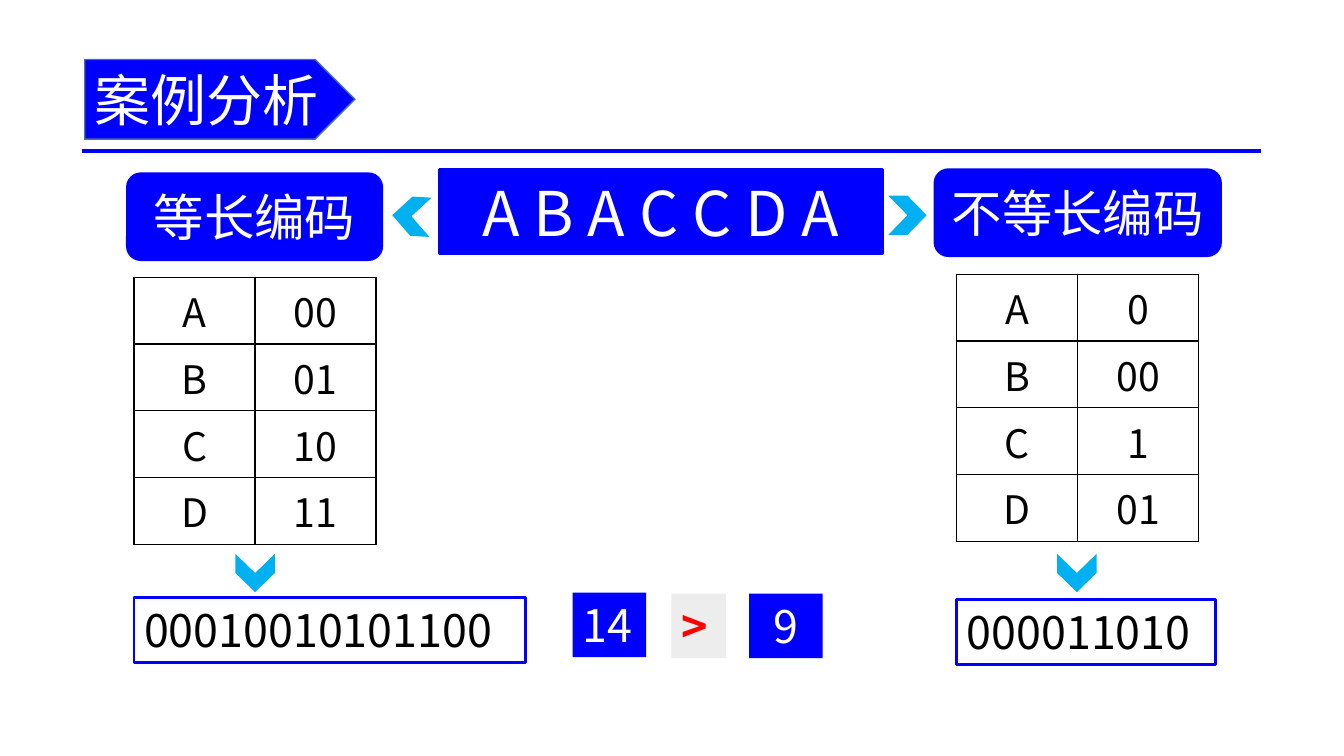
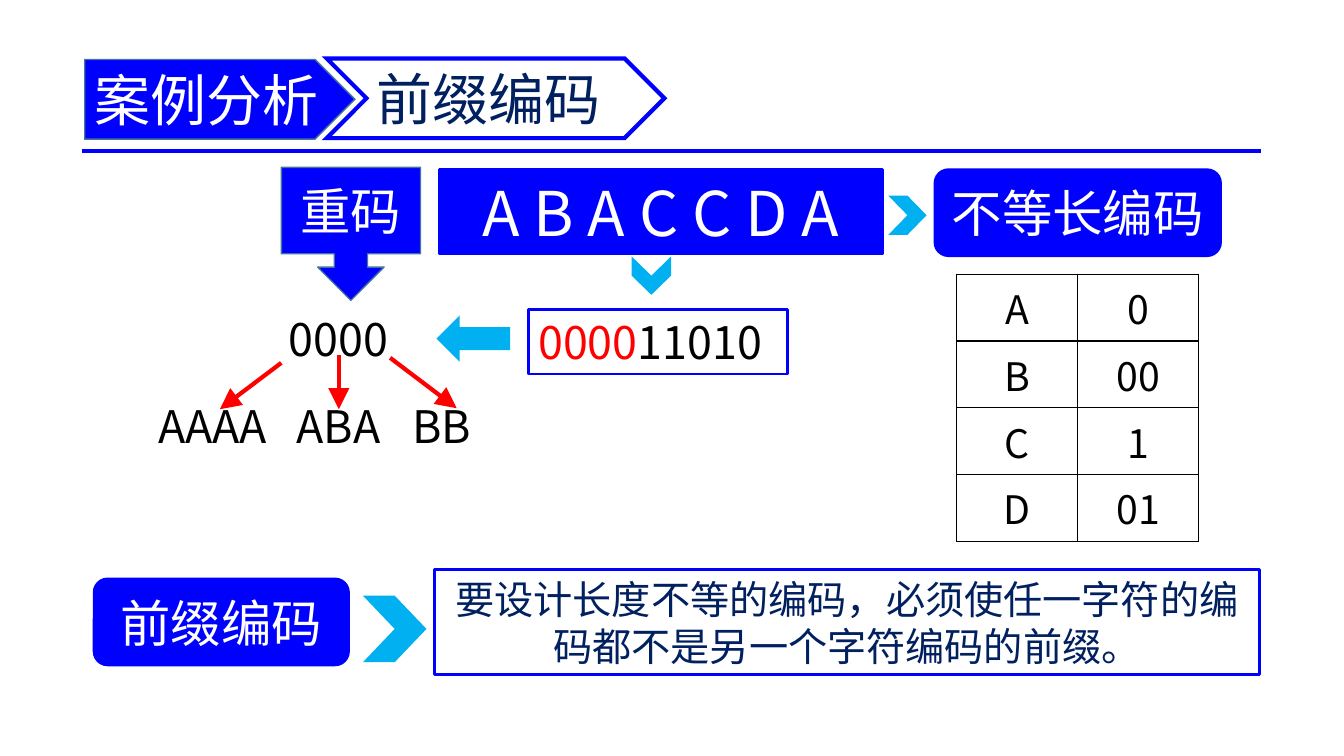
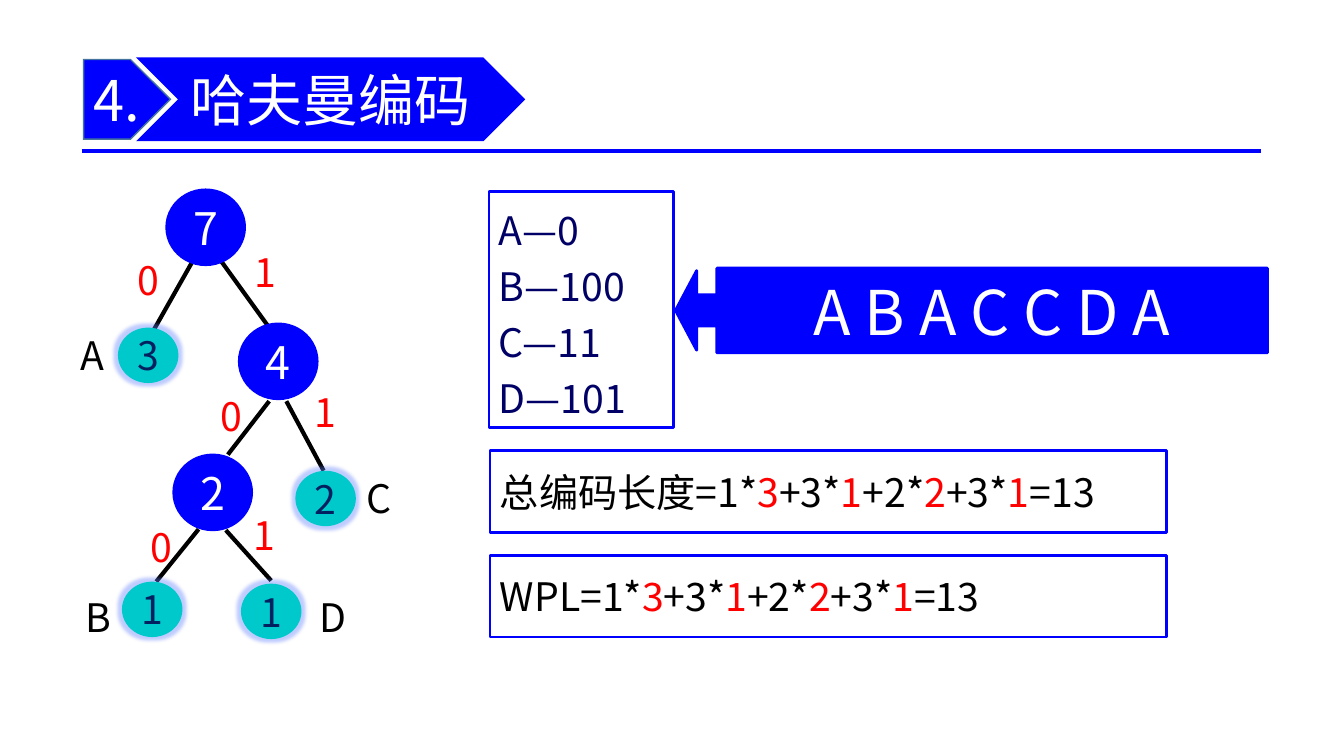
from lxml import etree
from pptx import Presentation
from pptx import util as u
from pptx.dml.color import RGBColor
from pptx.enum import shapes, text
from pptx.oxml.ns import qn

PX = 9144  # 100 px to the inch
FONT = "Noto Sans CJK SC"
BLUE, DEEP_BLUE, SKY, TEAL = "0000FF", "0000FA", "00B0F0", "00C9CB"
NAVY, INDIGO, STEEL, GLOW = "002060", "000066", "43739E", "6080FF"
BLACK, WHITE, RED, GREY = "000000", "FFFFFF", "FF0000", "EDEDED"
KIND = shapes.MSO_SHAPE
LEFT, CENTER = text.PP_ALIGN.LEFT, text.PP_ALIGN.CENTER
MESSAGE = "A B A C C D A"
UNEQUAL_CODES = [("A", "0"), ("B", "00"), ("C", "1"), ("D", "01")]


def px(*lengths):
    return [u.Emu(round(length * PX)) for length in lengths]


def paint(color_format, color):
    color_format.rgb = RGBColor.from_string(color)


def add_xml(parent, tag, **attributes):
    return etree.SubElement(parent, qn(tag), attributes)


def write(text_frame, content, size, color, align=LEFT, bold=False, spacing=None):
    """Content is a string, or a list of (text, color) runs for one paragraph."""
    if isinstance(content, str):
        text_frame.text = content
    else:
        for words, _ in content:
            text_frame.paragraphs[0].add_run().text = words
    for paragraph in text_frame.paragraphs:
        paragraph.alignment = align
        if spacing:
            paragraph.line_spacing = spacing
        for index, run in enumerate(paragraph.runs):
            run.font.size, run.font.bold = u.Pt(size), bold
            paint(run.font.color, color if isinstance(content, str) else content[index][1])
            run.font.name = FONT
            add_xml(run.font._element, "a:ea", typeface=FONT)


def set_margins(text_frame, left, right, top=5, bottom=5):
    text_frame.margin_left, text_frame.margin_right = px(left, right)
    text_frame.margin_top, text_frame.margin_bottom = px(top, bottom)


def add_shape(slide, kind, box, fill, line=None, width=2):
    shape = slide.shapes.add_shape(kind, *px(*box))
    shape.shadow.inherit = False
    shape.fill.solid()
    paint(shape.fill.fore_color, fill)
    if line:
        paint(shape.line.color, line)
        shape.line.width = u.Pt(width)
    else:
        shape.line.fill.background()
    shape.text_frame.word_wrap = True
    shape.text_frame.vertical_anchor = text.MSO_ANCHOR.MIDDLE
    return shape


def add_label(slide, center_x, center_y, content, size, color=BLACK, width=100, height=32):
    box = px(center_x - width / 2, center_y - height / 2, width, height)
    label = slide.shapes.add_textbox(*box)
    label.text_frame.word_wrap = True
    label.text_frame.vertical_anchor = text.MSO_ANCHOR.MIDDLE
    set_margins(label.text_frame, 0, 0)
    write(label.text_frame, content, size, color, CENTER)
    return label


def add_line(slide, ends, color, arrow=False):
    line = slide.shapes.add_connector(shapes.MSO_CONNECTOR.STRAIGHT, *px(*ends))
    paint(line.line.color, color)
    line.line.width = u.Pt(3)
    properties = line.element.spPr
    if arrow:
        outline = properties.find(qn("a:ln"))
        add_xml(outline, "a:tailEnd", type="triangle", w="lg", len="lg")
    add_xml(properties, "a:effectLst")
    return line


def add_title(slide, kind, box, title, fill=BLUE, color=WHITE, line=BLUE, width=3):
    """Title shape with sharp corners."""
    shape = add_shape(slide, kind, box, fill, line, width)
    add_xml(shape.element.spPr.find(qn("a:ln")), "a:miter", lim="800000")
    set_margins(shape.text_frame, 10, 0)
    write(shape.text_frame, title, 40, color)


def add_title_tab(slide, left, width, title):
    add_title(slide, KIND.PENTAGON, (left, 59, width, 79), title, line=STEEL, width=1)


def add_badge(slide, left, top, width, name):
    badge = add_shape(slide, KIND.ROUNDED_RECTANGLE, (left, top, width, 88), BLUE)
    write(badge.text_frame, name, 36, WHITE, CENTER)


def add_chevron(slide, left, top, rotation=0, width=38, height=39):
    add_shape(slide, KIND.CHEVRON, (left, top, width, height), SKY).rotation = rotation


def add_message(slide):
    banner = add_shape(slide, KIND.RECTANGLE, (436, 168, 439, 84), BLUE, BLUE)
    write(banner.text_frame, MESSAGE, 44, WHITE, CENTER)


def add_frame(slide, box, content, size, color=BLACK, align=LEFT, spacing=None):
    """White box with a blue outline."""
    frame = add_shape(slide, KIND.RECTANGLE, box, WHITE, BLUE)
    write(frame.text_frame, content, size, color, align, spacing=spacing)


def add_count(slide, box, content, fill, color, align=LEFT, bold=False):
    tile = add_shape(slide, KIND.RECTANGLE, box, fill)
    write(tile.text_frame, content, 32, color, align, bold)


def add_code_table(slide, left, top, codes):
    frame = slide.shapes.add_table(len(codes), 2, *px(left, top, 240, 66 * len(codes)))
    table = frame.table
    table.first_row = table.horz_banding = False
    for row, values in enumerate(codes):
        for column, value in enumerate(values):
            cell = table.cell(row, column)
            properties = cell._tc.get_or_add_tcPr()
            for side in "LRTB":
                border = add_xml(properties, f"a:ln{side}", w=str(u.Pt(1)))
                add_xml(add_xml(border, "a:solidFill"), "a:srgbClr", val=BLACK)
            cell.fill.solid()
            paint(cell.fill.fore_color, WHITE)
            write(cell.text_frame, value, 28, BLACK, CENTER)


def add_unequal_codes(slide):
    """Right-hand column: arrow, badge and table of the unequal codes."""
    add_chevron(slide, 881, 194)
    add_badge(slide, 926, 167, 286, "不等长编码")
    add_code_table(slide, 949, 272, UNEQUAL_CODES)


def add_ambiguity(slide, left, top):
    """One code string with the three words it may stand for."""
    code = add_label(slide, left + 188, top + 30, "0000", 32)
    words = [add_label(slide, left + x, top + 116, word, 32, width=130)
             for x, word in ((63, "AAAA"), (188, "ABA"), (290, "BB"))]
    for x1, y1, x2, y2 in ((131, 54, 70, 100), (188, 46, 188, 100), (239, 49, 305, 99)):
        arrow = add_line(slide, (left + x1, top + y1, left + x2, top + y2), RED, arrow=True)
        if x1 == x2:
            arrow.begin_connect(code, 2)
            arrow.end_connect(words[1], 0)


def add_tree(slide, left, top):
    edges = [(122, 74, 83, 143), (152, 73, 199, 138), (199, 211, 158, 264),
             (216, 211, 253, 280), (129, 338, 87, 390), (156, 339, 201, 389)]
    for x1, y1, x2, y2 in edges:
        add_line(slide, (left + x1, top + y1, left + x2, top + y2), BLACK)
    nodes = [(96, 0, "7"), (168, 133, "4"), (103, 263, "2")]
    leaves = [(49, 138, "3"), (53, 390, "1"), (225, 280, "2"), (171, 392, "1")]
    for x, y, weight in nodes:
        node = add_shape(slide, KIND.OVAL, (left + x, top + y, 80, 77), BLUE)
        set_margins(node.text_frame, 0, 0)
        write(node.text_frame, weight, 32, WHITE, CENTER)
    for x, y, weight in leaves:
        leaf = add_shape(slide, KIND.OVAL, (left + x, top + y, 60, 55), TEAL)
        effects = leaf.element.spPr.find(qn("a:effectLst"))
        halo = add_xml(add_xml(effects, "a:glow", rad="63500"), "a:srgbClr", val=GLOW)
        add_xml(halo, "a:alpha", val="40000")
        set_margins(leaf.text_frame, 0, 0)
        write(leaf.text_frame, weight, 28, NAVY, CENTER)
    letters = [(24, 165, "A"), (30, 425, "B"), (308, 307, "C"), (262, 425, "D")]
    bits = [(79, 91, "0"), (195, 83, "1"), (161, 226, "0"),
            (255, 222, "1"), (92, 356, "0"), (194, 344, "1")]
    for labels, color in ((letters, BLACK), (bits, RED)):
        for x, y, label in labels:
            add_label(slide, left + x, top + y, label, 28, color, 47, 57)


def add_sum(slide, top, name):
    """Frame with the weighted sum, its weights in red."""
    parts = [f"{name}=1*", "3", "+3*", "1", "+2*", "2", "+3*", "1", "=13"]
    runs = [(part, (BLACK, RED)[index % 2]) for index, part in enumerate(parts)]
    add_frame(slide, (486, top, 671, 81), runs, 28)


def start_slide(presentation):
    slide = presentation.slides.add_slide(presentation.slide_layouts[6])
    add_line(slide, (81, 150, 1251, 150), BLUE)
    return slide


def build_comparison(slide):
    add_title_tab(slide, 84, 268, "案例分析")
    add_message(slide)
    add_chevron(slide, 389, 195, 183.2)
    add_badge(slide, 125, 171, 255, "等长编码")
    add_code_table(slide, 133, 275, [("A", "00"), ("B", "01"), ("C", "10"), ("D", "11")])
    add_unequal_codes(slide)
    for left in (234, 1049):
        add_chevron(slide, left, 549, 90)
    add_frame(slide, (133, 593, 388, 64), "00010010101100", 32)
    add_frame(slide, (949, 595, 257, 64), "000011010", 32)
    add_count(slide, (568, 588, 73, 64), "14", BLUE, WHITE)
    add_count(slide, (666, 589, 54, 64), ">", GREY, RED, bold=True)
    add_count(slide, (743, 589, 73, 64), "9", BLUE, WHITE, CENTER)


def build_prefix(slide):
    add_title_tab(slide, 84, 268, "案例分析")
    add_title(slide, KIND.CHEVRON, (324, 58, 335, 79), "前缀编码", WHITE, NAVY)
    add_message(slide)
    add_unequal_codes(slide)
    add_chevron(slide, 627, 254, 90)
    add_frame(slide, (524, 307, 257, 64), [("0000", RED), ("11010", BLACK)], 32)
    add_shape(slide, KIND.LEFT_ARROW, (433, 313, 73, 46), SKY)
    callout = add_shape(slide, KIND.DOWN_ARROW_CALLOUT, (279, 166, 138, 132), BLUE, STEEL, 1)
    write(callout.text_frame, "重码", 36, WHITE, CENTER)
    add_ambiguity(slide, 148, 306)
    add_badge(slide, 92, 573, 255, "前缀编码")
    add_chevron(slide, 360, 591, width=63, height=66)
    rule = "要设计长度不等的编码，必须使任一字符的编码都不是另一个字符编码的前缀。"
    add_frame(slide, (431, 565, 818, 104), rule, 28, NAVY, CENTER)


def build_huffman(slide):
    add_title_tab(slide, 83, 86, "4.")
    add_title(slide, KIND.CHEVRON, (140, 59, 378, 79), "哈夫曼编码", DEEP_BLUE)
    add_tree(slide, 68, 187)
    codes = "A—0\nB—100\nC—11\nD—101"
    add_frame(slide, (485, 190, 183, 234), codes, 28, INDIGO, spacing=u.Pt(40))
    callout = add_shape(slide, KIND.LEFT_ARROW_CALLOUT, (670, 266, 587, 84), BLUE, BLUE)
    for index, value in enumerate((0.37, 0.47, 0.25, 0.93)):
        callout.adjustments[index] = value
    write(callout.text_frame, MESSAGE, 44, WHITE, CENTER)
    add_sum(slide, 447, "总编码长度")
    add_sum(slide, 551, "WPL")


def main():
    presentation = Presentation()
    presentation.slide_width, presentation.slide_height = px(1333, 750)
    for build in (build_comparison, build_prefix, build_huffman):
        build(start_slide(presentation))
    presentation.save("out.pptx")


if __name__ == "__main__":
    main()
